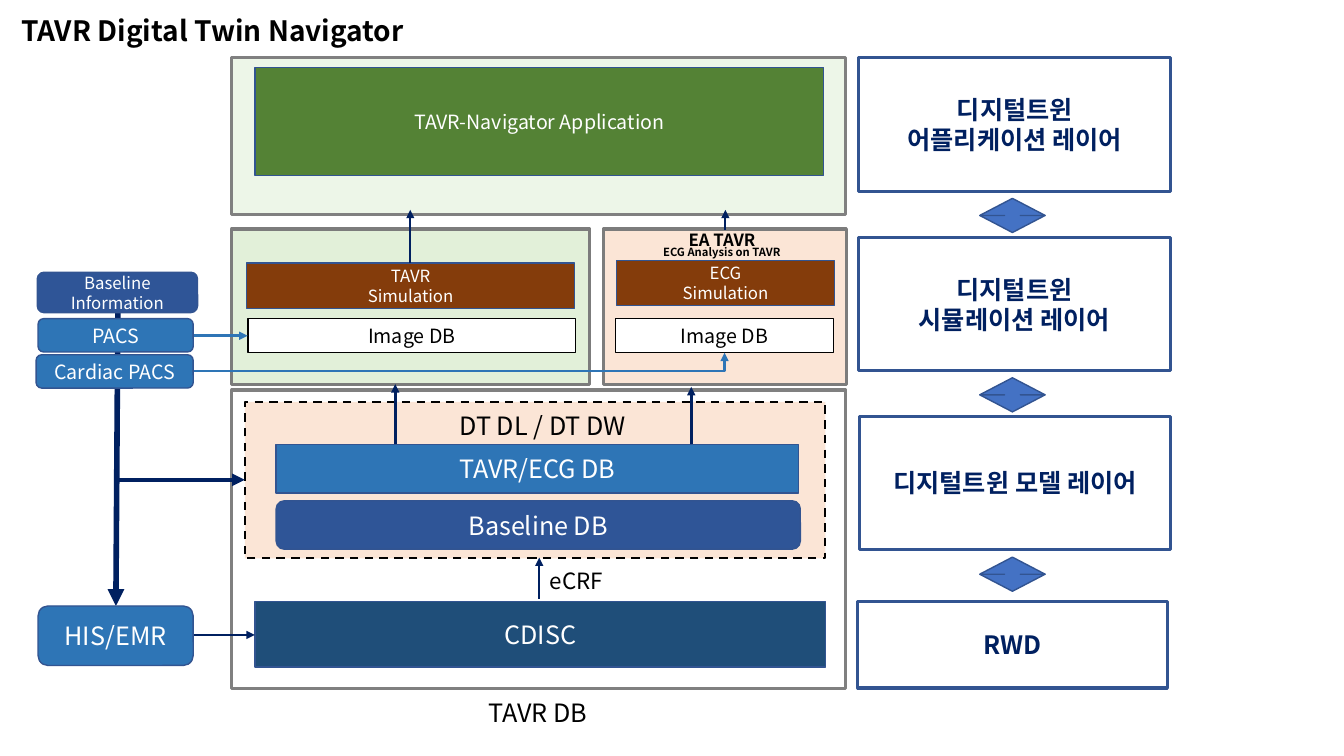
from lxml import etree
from pptx import Presentation
from pptx.dml.color import RGBColor
from pptx.enum.dml import MSO_LINE
from pptx.enum.shapes import MSO_CONNECTOR, MSO_SHAPE
from pptx.enum.text import MSO_ANCHOR, PP_ALIGN
from pptx.oxml.ns import qn
from pptx.util import Cm, Pt

RECT, ROUND = MSO_SHAPE.RECTANGLE, MSO_SHAPE.ROUNDED_RECTANGLE
UP_DOWN = MSO_SHAPE.UP_DOWN_ARROW
STRAIGHT, ELBOW = MSO_CONNECTOR.STRAIGHT, MSO_CONNECTOR.ELBOW
LEFT, CENTER = PP_ALIGN.LEFT, PP_ALIGN.CENTER
MIDDLE, DASH = MSO_ANCHOR.MIDDLE, MSO_LINE.DASH

FONT = "Noto Sans CJK KR"
COLORS = {
    "black": "000000", "white": "FFFFFF", "navy": "002060", "edge": "325491",
    "blue": "2E75B6", "royal": "2F5597", "deep": "1F4E79", "arrow": "4472C4",
    "green": "548235", "mint": "E2F0D9", "peach": "FBE5D6", "brown": "843C0B",
    "gray": "808080", "dim": "7C7C7C",
}


def rgb(name):
    return RGBColor.from_string(COLORS[name])


def write(tf, text, size, color, align=CENTER, bold=False):
    """Fill a text frame, one paragraph per line of text."""
    tf.word_wrap = True
    for i, line in enumerate(text.split("\n")):
        p = tf.paragraphs[0] if i == 0 else tf.add_paragraph()
        p.text = line
        p.alignment = align
        p.font.size, p.font.bold, p.font.name = Pt(size), bold, FONT
        p.font.color.rgb = rgb(color)
        latin = p._p.pPr.find(qn("a:defRPr")).find(qn("a:latin"))
        ea = etree.Element(qn("a:ea"), typeface=FONT)
        latin.addnext(ea)


def block(s, x, y, w, h, fill=None, text="", size=18, color="white", bold=False,
          kind=RECT, line="edge", width=1):
    sp = s.shapes.add_shape(kind, Cm(x), Cm(y), Cm(w), Cm(h))
    sp.shadow.inherit = False
    if fill:
        sp.fill.solid()
        sp.fill.fore_color.rgb = rgb(fill)
    else:
        sp.fill.background()
    sp.line.color.rgb = rgb(line)
    sp.line.width = Pt(width)
    if text:
        sp.text_frame.vertical_anchor = MIDDLE
        write(sp.text_frame, text, size, color, bold=bold)
    return sp


def label(s, x, y, w, h, text, size, align=LEFT, bold=False):
    tf = s.shapes.add_textbox(Cm(x), Cm(y), Cm(w), Cm(h)).text_frame
    write(tf, text, size, "black", align, bold)
    return tf


def arrow(s, x1, y1, x2, y2, color="navy", width=1.5, kind=STRAIGHT):
    c = s.shapes.add_connector(kind, Cm(x1), Cm(y1), Cm(x2), Cm(y2))
    c.line.color.rgb = rgb(color)
    c.line.width = Pt(width)
    spPr = c._element.spPr
    etree.SubElement(spPr.find(qn("a:ln")), qn("a:tailEnd"), type="triangle")
    etree.SubElement(spPr, qn("a:effectLst"))
    if kind == ELBOW:  # a single corner
        spPr.find(qn("a:prstGeom")).set("prst", "bentConnector2")


def title(s, x, y, w, h):
    sp = s.shapes.title
    sp.left, sp.top, sp.width, sp.height = Cm(x), Cm(y), Cm(w), Cm(h)
    write(sp.text_frame, "TAVR Digital Twin Navigator", 20, "black", LEFT, True)


def application(s, x, y, w, h):
    panel = block(s, x, y, w, h, "mint", line="gray", width=2.25)
    tint = panel._element.spPr.find(qn("a:solidFill"))[0]
    etree.SubElement(tint, qn("a:alpha"), val="60000")
    block(s, x + 0.59, y + 0.25, w - 1.14, 2.72, "green",
          "TAVR-Navigator Application", 14)


def simulation(s, x, y, w, h, fill, name, inner_w, sim_at, image_x, arrow_at):
    block(s, x, y, w, h, fill, line="dim", width=2.25)
    block(s, x + sim_at[0], y + sim_at[1], inner_w, 1.14, "brown",
          f"{name}\nSimulation", 12)
    block(s, x + image_x, y + 2.26, inner_w, 0.86, "white", "Image DB", 14,
          "black", line="black")
    arrow(s, x + arrow_at[0], y + arrow_at[1], x + arrow_at[0], y - 0.48)


def ecg_heading(s, x, y, w, h):
    tf = label(s, x, y, w, h, "EA TAVR\nECG Analysis on TAVR", 12, CENTER, True)
    for p in tf.paragraphs:
        p.line_spacing = 0.7
    tf.paragraphs[1].font.size = Pt(8)


def database(s, x, y, w, h):
    block(s, x, y, w, h, line="gray", width=2.25)
    store = block(s, x + 0.33, y + 0.3, 14.63, 3.94, "peach", line="black", width=1.5)
    store.line.dash_style = DASH
    label(s, x + 5.49, y + 0.38, 5.05, 1.02, "DT DL / DT DW", 18)
    block(s, x + 1.12, y + 1.37, 13.16, 1.22, "blue", "TAVR/ECG DB")
    block(s, x + 1.12, y + 2.79, 13.21, 1.22, "royal", "Baseline DB", kind=ROUND)
    block(s, x + 0.59, y + 5.33, 14.38, 1.65, "deep", "CDISC")
    label(s, x + 7.77, y + 4.34, 2.41, 0.94, "eCRF", 16)
    label(s, x + 6.22, y + h + 0.1, 3.05, 1.02, "TAVR DB", 18)
    for dx, start, end, width in ((4.12, 1.37, -0.15, 2), (11.58, 1.37, -0.08, 2),
                                  (7.75, 5.26, 4.22, 1.5)):
        arrow(s, x + dx, y + start, x + dx, y + end, width=width)


def sources(s, x, y):
    # Flows
    for x1, y1, x2, y2, color, width, kind in (
            (2.01, 5.23, 5.26, 5.23, "navy", 3, STRAIGHT),
            (2.06, 0.99, 2.01, 8.41, "navy", 4, STRAIGHT),
            (3.96, 9.14, 5.51, 9.14, "navy", 1.5, STRAIGHT),
            (3.96, 1.6, 5.33, 1.6, "blue", 2, STRAIGHT),
            (3.96, 2.49, 17.35, 2.03, "blue", 2, ELBOW)):
        arrow(s, x + x1, y + y1, x + x2, y + y2, color, width, kind)
    # Systems
    for dx, dy, w, h, fill, text, size in (
            (0.03, 0, 4.04, 1.02, "royal", "Baseline\nInformation", 12),
            (0.05, 1.17, 3.91, 0.84, "blue", "PACS", 14),
            (0, 2.08, 3.96, 0.84, "blue", "Cardiac PACS", 14),
            (0.05, 8.41, 3.91, 1.5, "blue", "HIS/EMR", 18)):
        block(s, x + dx, y + dy, w, h, fill, text, size, kind=ROUND)


def layers(s, x, y):
    for dx, dy, w, h, text in (
            (0.02, 0, 7.87, 3.38, "디지털트윈\n어플리케이션 레이어"),
            (0.02, 4.54, 7.85, 3.35, "디지털트윈\n시뮬레이션 레이어"),
            (0.05, 9.04, 7.82, 3.35, "디지털트윈 모델 레이어"),
            (0, 13.71, 7.8, 2.18, "RWD")):
        block(s, x + dx, y + dy, w, h, "white", text, 18, "navy", True, width=2.25)
    for i in range(3):
        sp = block(s, x + 3.07, y + 3.55 + 4.52 * i, 1.65, 0.86, "arrow", kind=UP_DOWN)
        sp.adjustments[0], sp.adjustments[1] = 0.57, 0.24


prs = Presentation()
prs.slide_width, prs.slide_height = Cm(33.87), Cm(19.05)
s = prs.slides.add_slide(prs.slide_layouts[5])

title(s, 0.28, 0.2, 11.28, 1.12)
application(s, 5.84, 1.45, 15.47, 3.96)
simulation(s, 5.84, 5.77, 9.02, 3.91, "mint", "TAVR", 8.26, (0.38, 0.86), 0.41,
           (4.5, 0.86))
simulation(s, 15.21, 5.77, 6.12, 3.91, "peach", "ECG", 5.49, (0.33, 0.79), 0.3,
           (3.07, 0.03))
ecg_heading(s, 16.1, 5.8, 4.19, 0.89)
database(s, 5.84, 9.83, 15.47, 7.52)
sources(s, 0.91, 6.86)
layers(s, 21.62, 1.45)

prs.save("out.pptx")
